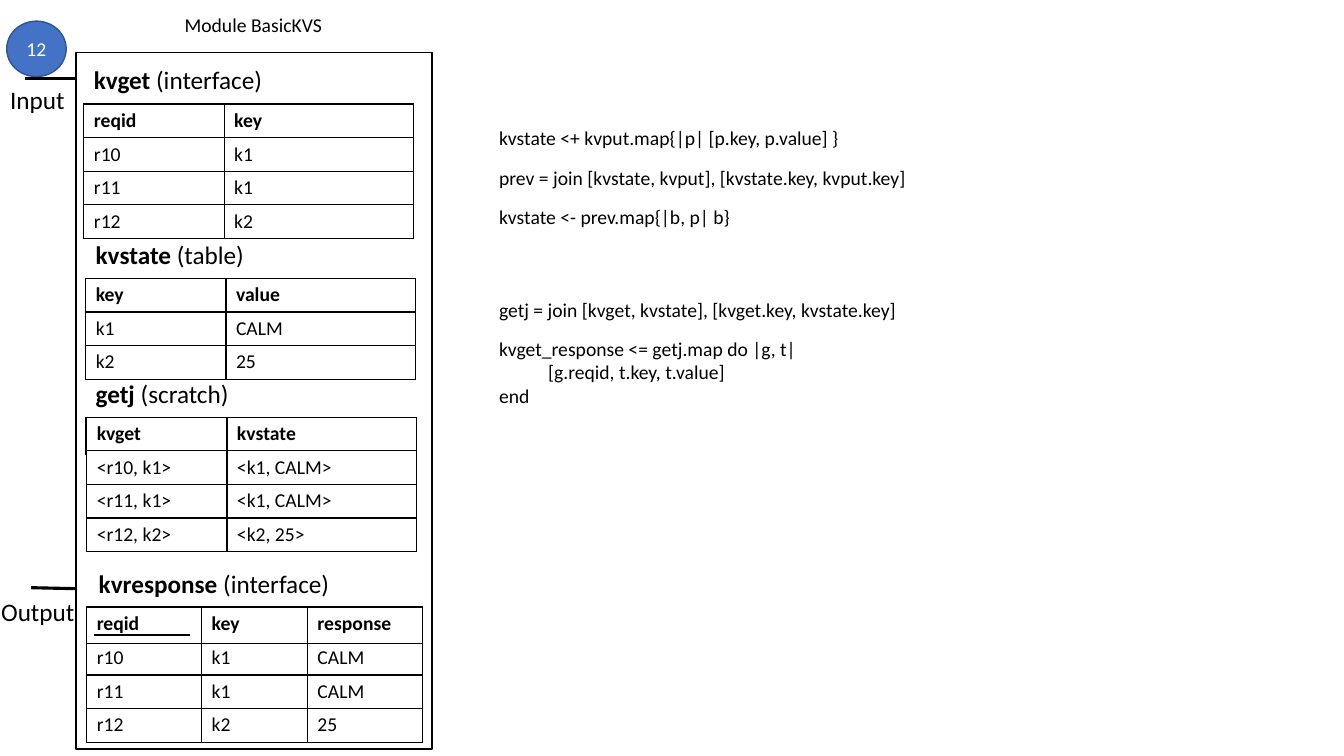
from dataclasses import dataclass

from lxml import etree
from pptx import Presentation
from pptx.dml.color import RGBColor
from pptx.enum.shapes import MSO_CONNECTOR, MSO_SHAPE
from pptx.enum.text import MSO_ANCHOR, MSO_AUTO_SIZE, PP_ALIGN
from pptx.oxml.ns import qn
from pptx.util import Pt

RECTANGLE, OVAL = MSO_SHAPE.RECTANGLE, MSO_SHAPE.OVAL
STRAIGHT = MSO_CONNECTOR.STRAIGHT
MIDDLE, CENTER = MSO_ANCHOR.MIDDLE, PP_ALIGN.CENTER
GROW = MSO_AUTO_SIZE.SHAPE_TO_FIT_TEXT

FONT = "Calibri"
BLACK, WHITE, BLUE, DARK_BLUE = "000000", "FFFFFF", "4472C4", "325491"
BODY, HEADING = 14, 18
ROW_HEIGHT, BAND_HEIGHT, CELL_MARGIN = 24, 25.9, 3.4
TWO_COLUMNS = (100.2, 135.4)
THREE_COLUMNS = (82.1, 75.6, 82.1)


@dataclass
class Span:
    text: str
    bold: bool = False


@dataclass
class Label:
    left: float
    top: float
    width: float
    height: float
    size: float
    paragraphs: list[list[Span]]
    indents: tuple[float, ...] = ()


@dataclass
class Grid:
    left: float
    top: float
    columns: tuple[float, ...]
    rows: list[str]
    row_height: float = ROW_HEIGHT


@dataclass
class Rule:
    start: tuple[float, float]
    end: tuple[float, float]
    weight: float


@dataclass
class Statements:
    labels: list[Label]


@dataclass
class Badge:
    left: float
    top: float
    width: float
    height: float
    text: str


def color(value: str) -> RGBColor:
    return RGBColor.from_string(value)


def add_span(para, span: Span, size: float, ink: str = BLACK) -> None:
    run = para.add_run()
    run.text = span.text
    run.font.name = FONT
    run.font.size = Pt(size)
    run.font.bold = span.bold
    run.font.color.rgb = color(ink)


def add_label(shapes, label: Label) -> None:
    box = shapes.add_textbox(Pt(label.left), Pt(label.top), Pt(label.width), Pt(label.height))
    frame = box.text_frame
    frame.word_wrap = True
    frame.auto_size = GROW
    for index, spans in enumerate(label.paragraphs):
        para = frame.add_paragraph() if index else frame.paragraphs[0]
        if label.indents and label.indents[index]:
            para._p.get_or_add_pPr().set("marL", str(Pt(label.indents[index])))
        for span in spans:
            add_span(para, span, label.size)


def add_outline(shapes, kind, left: float, top: float, width: float, height: float, line: str):
    shape = shapes.add_shape(kind, Pt(left), Pt(top), Pt(width), Pt(height))
    shape.shadow.inherit = False
    shape.fill.background()
    shape.line.color.rgb = color(line)
    shape.line.width = Pt(1)
    return shape


def add_badge(shapes, badge: Badge) -> None:
    disc = add_outline(shapes, OVAL, badge.left, badge.top, badge.width, badge.height, DARK_BLUE)
    disc.fill.solid()
    disc.fill.fore_color.rgb = color(BLUE)
    disc.text_frame.vertical_anchor = MIDDLE
    para = disc.text_frame.paragraphs[0]
    para.alignment = CENTER
    add_span(para, Span(badge.text), BODY, WHITE)


def add_rule(shapes, rule: Rule) -> None:
    (x1, y1), (x2, y2) = rule.start, rule.end
    line = shapes.add_connector(STRAIGHT, Pt(x1), Pt(y1), Pt(x2), Pt(y2))
    line.line.color.rgb = color(BLACK)
    line.line.width = Pt(rule.weight)
    etree.SubElement(line._element.spPr, qn("a:effectLst"))


def add_borders(cell) -> None:
    properties = cell._tc.get_or_add_tcPr()
    for index, side in enumerate(("lnL", "lnR", "lnT", "lnB")):
        border = etree.Element(qn(f"a:{side}"), w=str(Pt(1)))
        fill = etree.SubElement(border, qn("a:solidFill"))
        etree.SubElement(fill, qn("a:srgbClr"), val=BLACK)
        properties.insert(index, border)


def add_grid(shapes, grid: Grid) -> None:
    count = len(grid.rows)
    table = shapes.add_table(
        count, len(grid.columns), Pt(grid.left), Pt(grid.top),
        Pt(sum(grid.columns)), Pt(grid.row_height * count),
    ).table
    table.first_row = table.horz_banding = False
    for column, width in zip(table.columns, grid.columns):
        column.width = Pt(width)
    for index, values in enumerate(grid.rows):
        table.rows[index].height = Pt(grid.row_height)
        for cell, text in zip(table.rows[index].cells, values.split("|")):
            cell.margin_top = cell.margin_bottom = Pt(CELL_MARGIN)
            cell.fill.solid()
            cell.fill.fore_color.rgb = color(WHITE)
            add_borders(cell)
            add_span(cell.text_frame.paragraphs[0], Span(text, index == 0), BODY)


def add_statements(shapes, statements: Statements) -> None:
    group = shapes.add_group_shape()
    for label in statements.labels:
        add_label(group.shapes, label)


def heading(left: float, top: float, name: str, kind: str) -> Label:
    return Label(left, top, 229, 29, HEADING, [[Span(f"{name} ", True), Span(f"({kind})")]])


def code(top: float, *lines: str, indents: tuple[float, ...] = ()) -> Label:
    height = 7.4 + 17 * len(lines)
    return Label(349.4, top, 326.2, height, BODY, [[Span(line)] for line in lines], indents)


# Everything inside and beside the module frame, from back to front
LAYERS = [
    Rule((22.3, 419.8), (54.7, 420.5), 2.25),
    Label(-6.3, 422.1, 75.6, 29, HEADING, [[Span("Output")]]),
    Grid(61.9, 434.2, THREE_COLUMNS,
         ["reqid|key|response", "r10|k1|CALM", "r11|k1|CALM", "r12|k2|25"]),
    heading(63.4, 402.5, "kvresponse", "interface"),
    Grid(59.9, 74.2, TWO_COLUMNS, ["reqid|key"], BAND_HEIGHT),
    heading(59.9, 42.5, "kvget", "interface"),
    Label(124.8, 5.8, 113, 24.4, BODY, [[Span("Module BasicKVS")]]),
    Rule((63.4, 95.8), (108.7, 96.5), 1),
    Badge(4.8, 15.1, 42.5, 39.6, "12"),
    Rule((18, 56.2), (54.7, 56.2), 2.25),
    Label(0.2, 56.9, 75.6, 29, HEADING, [[Span("Input")]]),
    Grid(61.2, 198.9, TWO_COLUMNS, ["key|value", "k1|CALM", "k2|25"]),
    heading(61.2, 167.3, "kvstate", "table"),
    Statements([
        code(86.4, "kvstate <+ kvput.map{|p| [p.key, p.value] }"),
        code(114.7, "prev = join [kvstate, kvput], [kvstate.key, kvput.key]"),
        code(143, "kvstate <- prev.map{|b, p| b}"),
    ]),
    Statements([
        code(237.1, "kvget_response <= getj.map do |g, t|", "[g.reqid, t.key, t.value]", "end",
             indents=(0, 35, 0)),
        code(209.1, "getj = join [kvget, kvstate], [kvget.key, kvstate.key]"),
    ]),
    Grid(61.2, 298.6, TWO_COLUMNS, ["kvget|kvstate"], BAND_HEIGHT),
    heading(61.2, 266.8, "getj", "scratch"),
    Grid(59.9, 74.4, TWO_COLUMNS, ["reqid|key", "r10|k1", "r11|k1", "r12|k2"]),
    Grid(61.9, 298, TWO_COLUMNS,
         ["kvget|kvstate", "<r10, k1>|<k1, CALM>", "<r11, k1>|<k1, CALM>", "<r12, k2>|<k2, 25>"]),
    Grid(61.9, 433.6, THREE_COLUMNS, ["reqid|key|response"], BAND_HEIGHT),
    Rule((67, 453.6), (136, 453.6), 1),
]

DRAW = {Label: add_label, Grid: add_grid, Rule: add_rule, Statements: add_statements, Badge: add_badge}


def main() -> None:
    deck = Presentation()
    deck.slide_width, deck.slide_height = Pt(960), Pt(540)
    page = deck.slides.add_slide(deck.slide_layouts[6])
    add_outline(page.shapes, RECTANGLE, 54.3, 37.4, 254.2, 497.5, BLACK)
    for item in LAYERS:
        DRAW[type(item)](page.shapes, item)
    deck.save("out.pptx")


if __name__ == "__main__":
    main()
